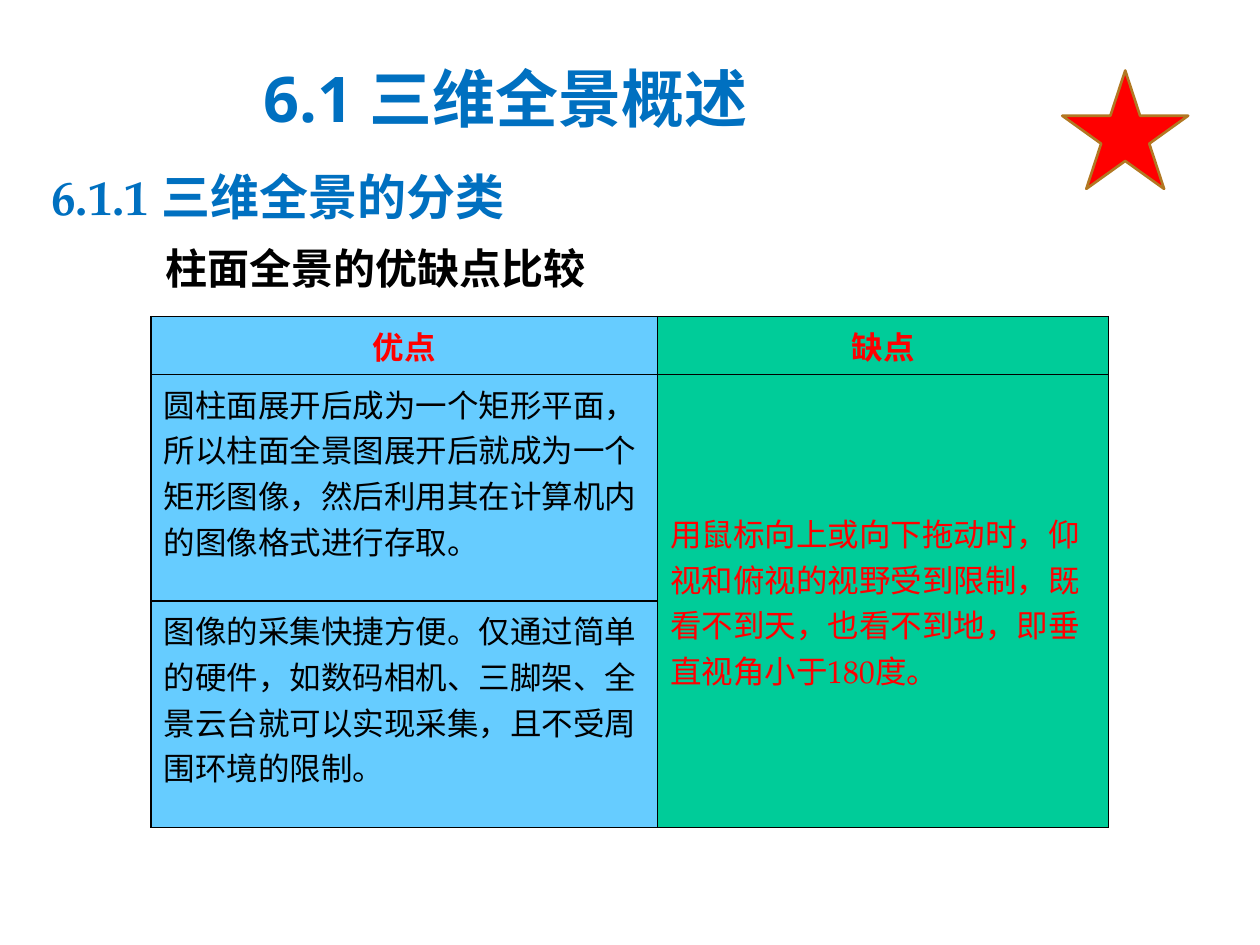
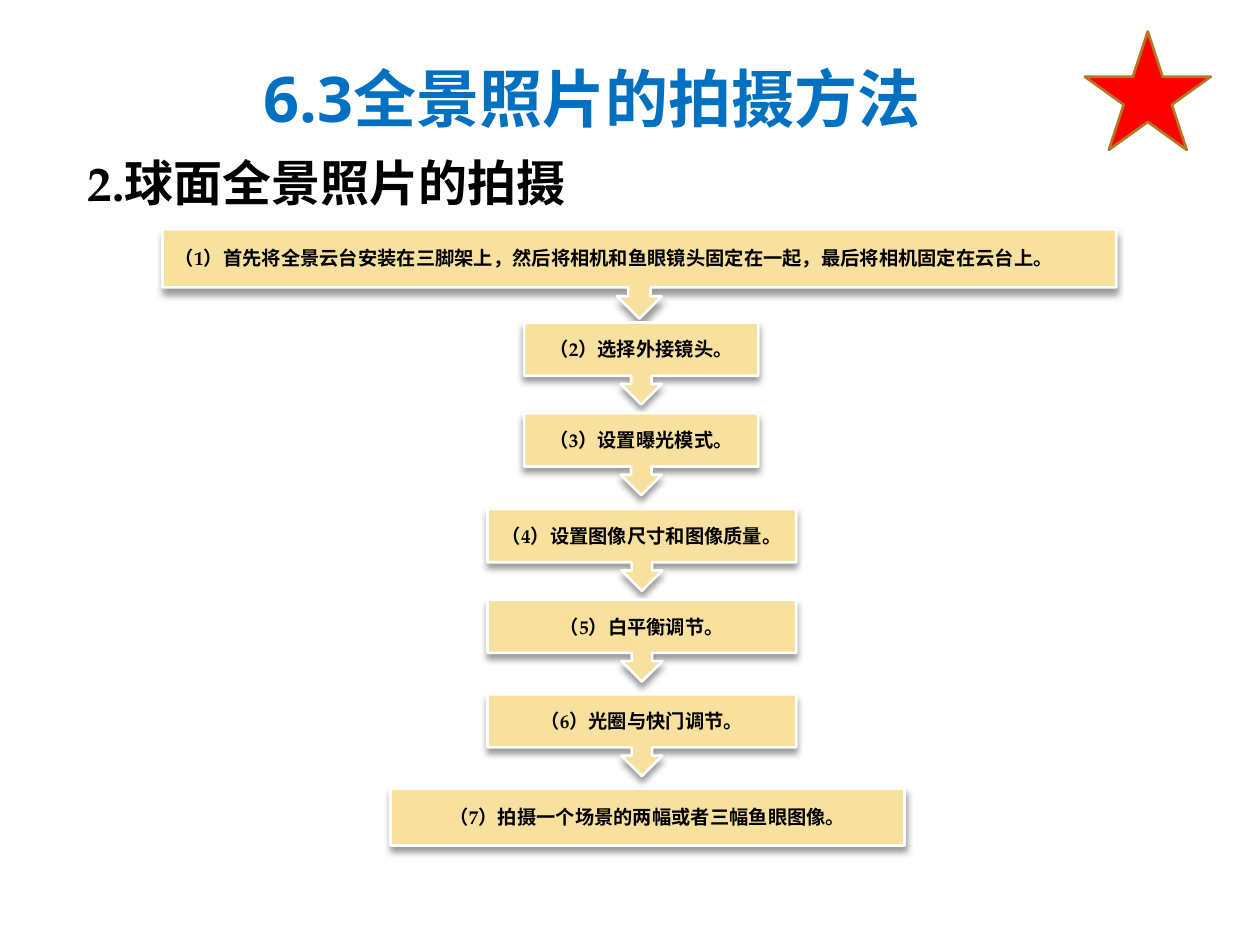
from lxml.etree import SubElement
from pptx import Presentation
from pptx.dml.color import RGBColor
from pptx.enum.shapes import MSO_SHAPE
from pptx.enum.text import MSO_ANCHOR, PP_ALIGN
from pptx.oxml.ns import qn
from pptx.util import Pt

BLUE = RGBColor(0x00, 0x70, 0xC0)
BLACK = RGBColor(0x00, 0x00, 0x00)
WHITE = RGBColor(0xFF, 0xFF, 0xFF)
RED = RGBColor(0xFF, 0x00, 0x00)
BROWN = RGBColor(0xB2, 0x78, 0x22)
SAND = RGBColor(0xF8, 0xE1, 0x9F)
SKY = RGBColor(0x66, 0xCC, 0xFF)
GREEN = RGBColor(0x00, 0xCC, 0x99)
SERIF = "TeX Gyre Pagella"
SANS = "Open Sans"


def write(frame, text, size, color, bold=True, face=SERIF, align=PP_ALIGN.LEFT, space=1.0):
    frame.word_wrap = True
    para = frame.paragraphs[0]
    para.alignment = align
    para.line_spacing = space
    run = para.add_run()
    run.text = text
    font = run.font
    font.size = Pt(size)
    font.bold = bold
    font.color.rgb = color
    font.name = face
    if face == SANS:
        SubElement(font._element, qn("a:ea"), typeface=face)


def draw(slide, kind, box, fill, line):
    shape = slide.shapes.add_shape(kind, *map(Pt, box))
    shape.shadow.inherit = False
    shape.fill.solid()
    shape.fill.fore_color.rgb = fill
    shape.line.color.rgb = line
    shape.line.width = Pt(1.5)
    return shape


deck = Presentation()
deck.slide_width = Pt(720)
deck.slide_height = Pt(540)

pages = [
    ("6.1 三维全景概述", 356.4,
     "6.1.1 三维全景的分类", (22.3, 86.4, 501, 45.4), BLUE, 1.15, (607, 40.3)),
    ("6.3全景照片的拍摄方法", 397.4,
     "2.球面全景照片的拍摄", (43.2, 89.3, 657.4, 38.9), BLACK, 0.82, (619.9, 18)),
]
slides = []
for title, width, head, box, color, space, spot in pages:
    slide = deck.slides.add_slide(deck.slide_layouts[6])
    frame = slide.shapes.add_textbox(Pt(143.3), Pt(10.1), Pt(width), Pt(71.3)).text_frame
    frame.vertical_anchor = MSO_ANCHOR.BOTTOM
    write(frame, title, 36, BLUE, face=SANS, space=0.9)
    frame = slide.shapes.add_textbox(*map(Pt, box)).text_frame
    write(frame, head, 28, color, space=space)
    draw(slide, MSO_SHAPE.STAR_5_POINT, (*spot, 72, 67.7), RED, BROWN)
    slides.append(slide)
types, steps = slides

frame = types.shapes.add_textbox(Pt(58.3), Pt(135), Pt(312.5), Pt(42)).text_frame
write(frame, "柱面全景的优缺点比较", 24, BLACK, align=PP_ALIGN.CENTER)

table = types.shapes.add_table(3, 2, Pt(86.4), Pt(180.9), Pt(547.2), Pt(292.1)).table
for col, width in zip(table.columns, (289.4, 257.8)):
    col.width = Pt(width)
for row, height in zip(table.rows, (33.1, 129.5, 129.5)):
    row.height = Pt(height)
for row in range(3):
    for col, fill in enumerate((SKY, GREEN)):
        cell = table.cell(row, col)
        props = cell._tc.get_or_add_tcPr()
        for side in ("a:lnL", "a:lnR", "a:lnT", "a:lnB"):
            edge = SubElement(props, qn(side), w=str(Pt(1)))
            paint = SubElement(edge, qn("a:solidFill"))
            SubElement(paint, qn("a:srgbClr"), val=str(BLACK))
        cell.fill.solid()
        cell.fill.fore_color.rgb = fill
table.cell(1, 1).merge(table.cell(2, 1))
table.cell(1, 1).vertical_anchor = MSO_ANCHOR.MIDDLE

for col, text in enumerate(("优点", "缺点")):
    write(table.cell(0, col).text_frame, text, 18, RED, align=PP_ALIGN.CENTER)
notes = [
    (1, 0, BLACK, "圆柱面展开后成为一个矩形平面，所以柱面全景图展开后就成为一个矩形图像，然后利用其在计算机内的图像格式进行存取。"),
    (2, 0, BLACK, "图像的采集快捷方便。仅通过简单的硬件，如数码相机、三脚架、全景云台就可以实现采集，且不受周围环境的限制。"),
    (1, 1, RED, "用鼠标向上或向下拖动时，仰视和俯视的视野受到限制，既看不到天，也看不到地，即垂直视角小于180度。"),
]
for row, col, color, text in notes:
    write(table.cell(row, col).text_frame, text, 18, color, bold=False)

CALL = MSO_SHAPE.DOWN_ARROW_CALLOUT
LEFT, MID = PP_ALIGN.LEFT, PP_ALIGN.CENTER
flow = [
    (CALL, (92.9, 131, 545, 51.1), LEFT, "首先将全景云台安装在三脚架上，然后将相机和鱼眼镜头固定在一起，最后将相机固定在云台上。"),
    (CALL, (299.5, 184.3, 133.9, 46.8), MID, "选择外接镜头。"),
    (CALL, (299.5, 236.2, 133.9, 46.8), MID, "设置曝光模式。"),
    (CALL, (278.6, 290.9, 176.4, 46.8), MID, "设置图像尺寸和图像质量。"),
    (CALL, (278.6, 342.7, 176.4, 46.8), MID, "白平衡调节。"),
    (CALL, (278.6, 396.7, 176.4, 46.8), MID, "光圈与快门调节。"),
    (MSO_SHAPE.RECTANGLE, (223.2, 450.7, 293.8, 32.4), MID, "拍摄一个场景的两幅或者三幅鱼眼图像。"),
]
for num, (kind, box, align, text) in enumerate(flow, 1):
    shape = draw(steps, kind, box, SAND, WHITE)
    glow = shape._element.spPr.find(qn("a:effectLst"))
    shade = SubElement(glow, qn("a:outerShdw"), blurRad=str(Pt(4)), dist=str(Pt(3)),
                       dir="5400000", rotWithShape="0")
    tint = SubElement(shade, qn("a:srgbClr"), val=str(BLACK))
    SubElement(tint, qn("a:alpha"), val="40000")
    shape.text_frame.vertical_anchor = MSO_ANCHOR.MIDDLE
    write(shape.text_frame, f"（{num}）{text}", 11, BLACK, align=align)

deck.save("out.pptx")
